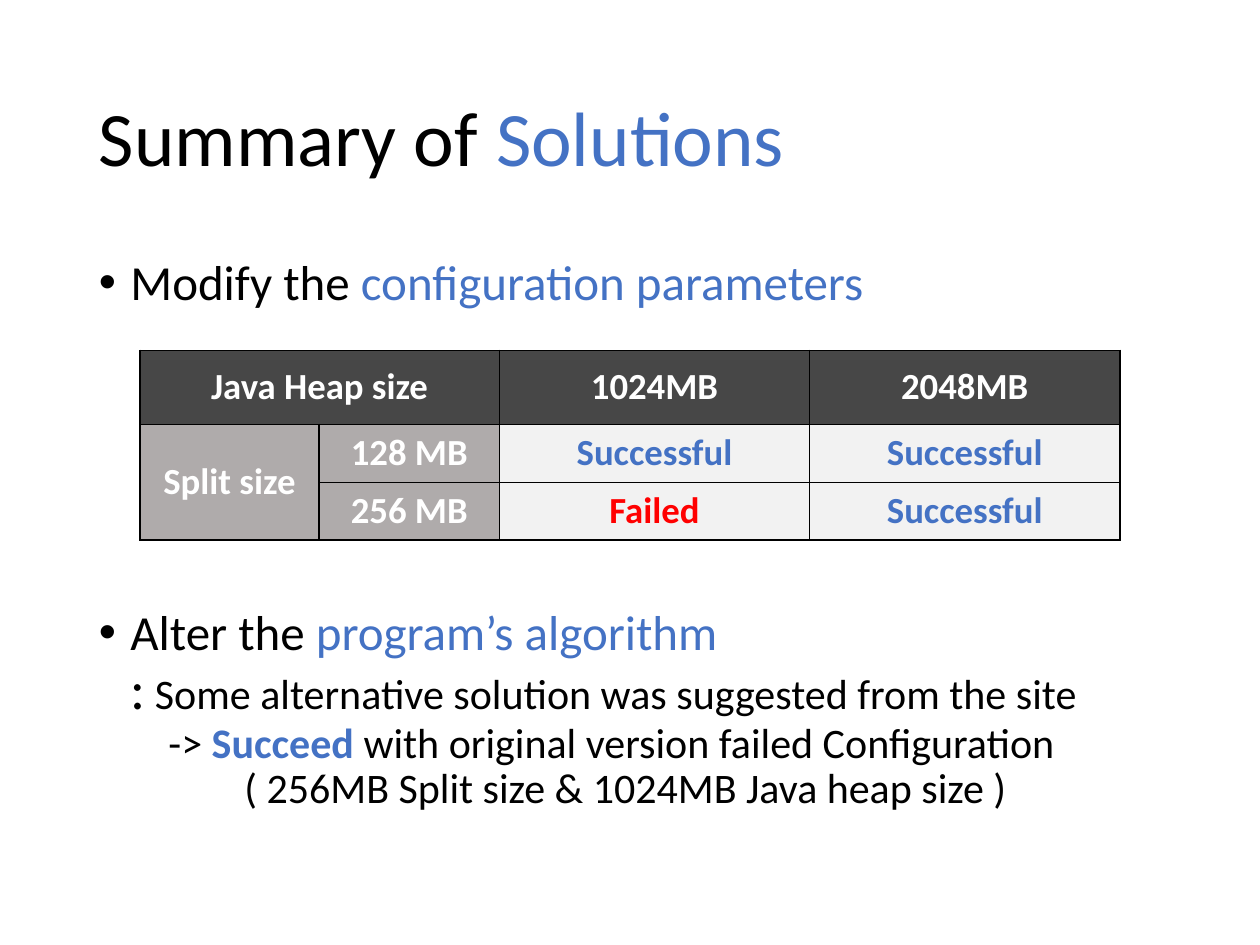
from pptx import Presentation
from pptx.dml.color import RGBColor as RGB
from pptx.enum.text import MSO_ANCHOR as ANCHOR, PP_ALIGN as ALIGN
from pptx.oxml.ns import qn
from pptx.util import Pt
from lxml.etree import SubElement as Sub

FONT = "Calibri"
COLORS = {"black": "000000", "white": "FFFFFF", "blue": "4472C4",
          "red": "FF0000", "gray": "AFABAB", "light": "F2F2F2"}
HEAD_OPACITY = 72

TITLE = [dict(runs=[("Summary of ", 44, "black"), ("Solutions", 44, "blue")])]
BODY = [
    dict(bullet=True, left=18, runs=[("Modify the ", 28, "black"),
                                     ("configuration parameters", 28, "blue")]),
    dict(bullet=True, left=18, before=170, runs=[("Alter the ", 28, "black"),
                                                 ("program’s algorithm", 28, "blue")]),
    dict(left=18, runs=[(":", 32, "black"),
                        (" Some alternative solution was suggested from the site", 24, "black")]),
    dict(left=39.7, runs=[("-> ", 24, "black"), ("Succeed", 24, "blue", True),
                          (" with original version failed Configuration", 24, "black")]),
    dict(left=83.1, runs=[("( 256MB Split size & 1024MB Java heap size )", 24, "black")]),
]
ROWS = [
    ["Java Heap size", "", "1024MB", "2048MB"],
    ["Split size", "128 MB", "Successful", "Successful"],
    ["", "256 MB", "Failed", "Successful"],
]
RESULT_COLORS = {"Successful": "blue", "Failed": "red"}
COL_WIDTHS = [102.5, 103, 177.3, 177.3]
ROW_HEIGHTS = [42.3, 33.1, 33.1]


def rgb(name):
    return RGB.from_string(COLORS[name])


def style_run(r, size, color, bold=False):
    r.font.name, r.font.size, r.font.bold = FONT, Pt(size), bold
    r.font.color.rgb = rgb(color)


def add_text(slide, top, height, paragraphs, anchor):
    tf = slide.shapes.add_textbox(Pt(49.5), Pt(top), Pt(621), Pt(height)).text_frame
    tf.word_wrap = True
    tf.vertical_anchor = anchor
    for i, item in enumerate(paragraphs):
        p = tf.add_paragraph() if i else tf.paragraphs[0]
        p.line_spacing = 0.9
        p.space_before = Pt(item.get("before", 0))
        pPr = p._p.get_or_add_pPr()
        pPr.set("marL", str(Pt(item.get("left", 0))))
        if item.get("bullet"):
            pPr.set("indent", str(-Pt(18)))
            Sub(pPr, qn("a:buFont"), typeface="Arial")
            Sub(pPr, qn("a:buChar"), char="•")
        for text, *style in item["runs"]:
            r = p.add_run()
            r.text = text
            style_run(r, *style)


def add_borders(cell):
    tcPr = cell._tc.get_or_add_tcPr()
    for side in ("lnL", "lnR", "lnT", "lnB"):
        ln = Sub(tcPr, qn(f"a:{side}"), w=str(Pt(1)))
        Sub(Sub(ln, qn("a:solidFill")), qn("a:srgbClr"), val=COLORS["black"])


def fill_cell(cell, row, col):
    name = "black" if row == 0 else "gray" if col < 2 else "light"
    cell.fill.solid()
    cell.fill.fore_color.rgb = rgb(name)
    if row == 0:
        color = cell._tc.tcPr.find(qn("a:solidFill")).find(qn("a:srgbClr"))
        Sub(color, qn("a:alpha"), val=str(HEAD_OPACITY * 1000))


def add_results(slide):
    table = slide.shapes.add_table(
        len(ROWS), len(COL_WIDTHS), Pt(79.9), Pt(200.2),
        Pt(sum(COL_WIDTHS)), Pt(sum(ROW_HEIGHTS))).table
    for column, width in zip(table.columns, COL_WIDTHS):
        column.width = Pt(width)
    for row, height in zip(table.rows, ROW_HEIGHTS):
        row.height = Pt(height)
    for i, texts in enumerate(ROWS):
        for j, text in enumerate(texts):
            cell = table.cell(i, j)
            cell.vertical_anchor = ANCHOR.MIDDLE
            add_borders(cell)
            fill_cell(cell, i, j)
            cell.text_frame.text = text
            p = cell.text_frame.paragraphs[0]
            p.alignment = ALIGN.CENTER
            for r in p.runs:
                style_run(r, 21, RESULT_COLORS.get(text, "white"), True)
    table.cell(0, 0).merge(table.cell(0, 1))
    table.cell(1, 0).merge(table.cell(2, 0))


def main():
    prs = Presentation()
    prs.slide_width, prs.slide_height = Pt(720), Pt(540)
    slide = prs.slides.add_slide(prs.slide_layouts[6])
    add_text(slide, 28.75, 104.4, TITLE, ANCHOR.MIDDLE)
    add_text(slide, 144, 342.6, BODY, ANCHOR.TOP)
    add_results(slide)
    prs.save("out.pptx")


if __name__ == "__main__":
    main()
